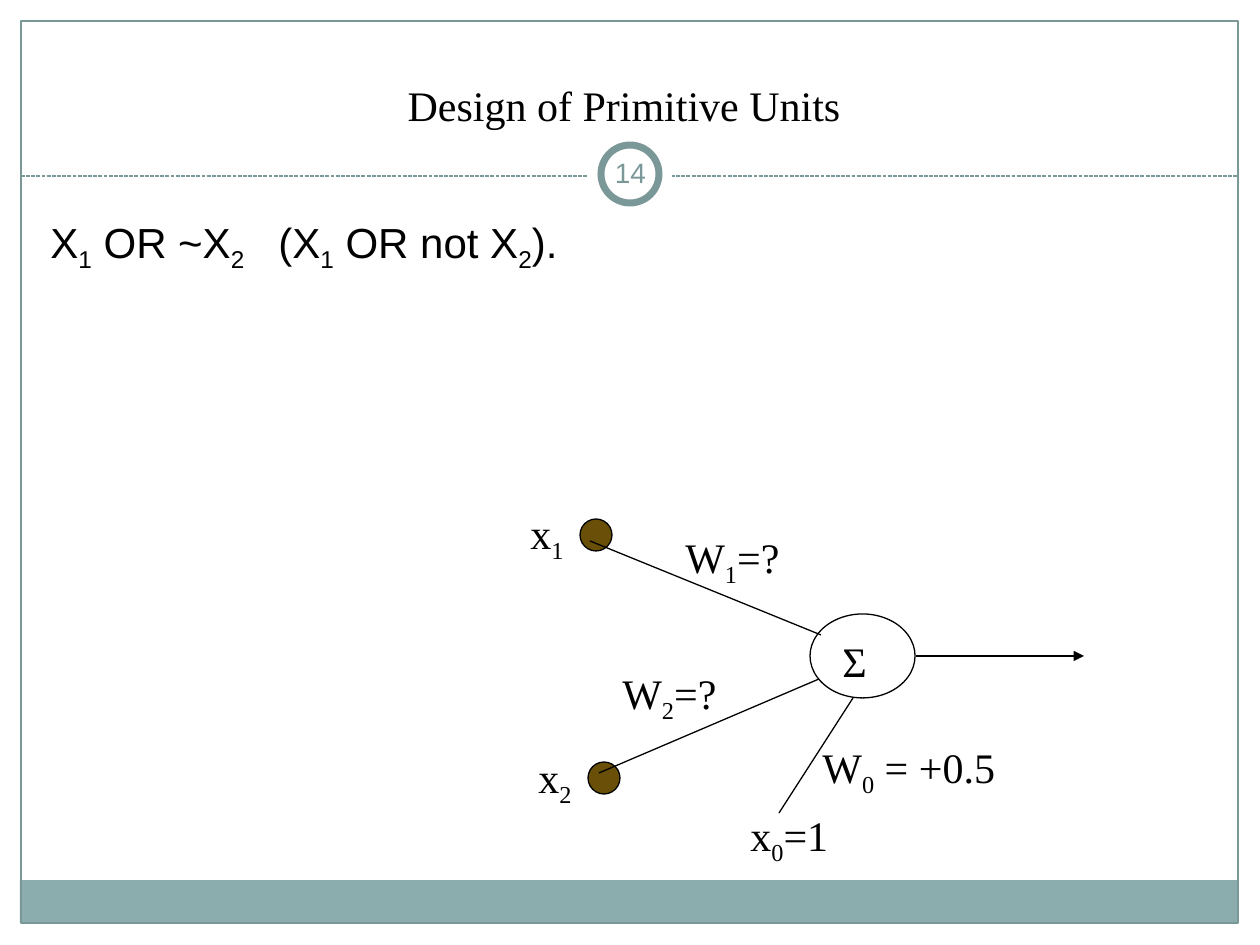
from typing import NamedTuple, Optional

from lxml import etree
from pptx import Presentation
from pptx.dml.color import RGBColor
from pptx.enum.dml import MSO_LINE
from pptx.enum.shapes import MSO_CONNECTOR, MSO_SHAPE
from pptx.enum.text import MSO_ANCHOR, MSO_AUTO_SIZE, PP_ALIGN
from pptx.oxml.ns import qn
from pptx.util import Emu, Pt

RECTANGLE, OVAL = MSO_SHAPE.RECTANGLE, MSO_SHAPE.OVAL
STRAIGHT = MSO_CONNECTOR.STRAIGHT
DASH = MSO_LINE.SQUARE_DOT
CENTER = PP_ALIGN.CENTER
MIDDLE, BOTTOM = MSO_ANCHOR.MIDDLE, MSO_ANCHOR.BOTTOM
FIXED_SIZE, FIT_SHAPE = MSO_AUTO_SIZE.NONE, MSO_AUTO_SIZE.SHAPE_TO_FIT_TEXT

BLACK = RGBColor(0x00, 0x00, 0x00)
WHITE = RGBColor(0xFF, 0xFF, 0xFF)
TEAL = RGBColor(0x7B, 0x98, 0x99)
BAND_TEAL = RGBColor(0x8C, 0xAD, 0xAE)
BROWN = RGBColor(0x69, 0x4F, 0x07)

SANS, SERIF = "Arial", "Times New Roman"
PX_PER_INCH = 126
THIN = 0.75
BODY_SIZE = 24
FORMULA_TAB = 228


class Box(NamedTuple):
    left: int
    top: int
    width: int
    height: int


class Figure(NamedTuple):
    kind: int
    box: Box
    fill: Optional[RGBColor] = None
    outline: Optional[RGBColor] = None
    weight: float = THIN


class Link(NamedTuple):
    start: tuple[int, int]
    end: tuple[int, int]
    color: RGBColor = BLACK
    dashed: bool = False
    arrow: bool = False


class Label(NamedTuple):
    markup: str
    box: Box
    font: str = SERIF


FRAME = [
    Figure(RECTANGLE, Box(20, 880, 1217, 43), fill=BAND_TEAL),
    Figure(RECTANGLE, Box(21, 21, 1217, 902), outline=TEAL),
]
HEADER_RULE = Link((21, 176), (1238, 176), TEAL, dashed=True)
NUMBER_BADGE = [
    Figure(OVAL, Box(588, 132, 84, 84), fill=WHITE),
    Figure(OVAL, Box(601, 145, 58, 58), fill=WHITE, outline=TEAL, weight=4),
]
NETWORK_NODES = [
    Figure(OVAL, Box(580, 519, 32, 32), BROWN, BLACK),
    Figure(OVAL, Box(588, 762, 32, 32), BROWN, BLACK),
    Figure(OVAL, Box(810, 614, 105, 84), outline=BLACK),
]
NETWORK_LINKS = [
    Link((590, 541), (821, 635)),
    Link((599, 773), (819, 679)),
    Link((779, 813), (853, 698)),
    Link((916, 656), (1084, 656), arrow=True),
]
LABELS = [
    Label("X_1 OR ~X_2\t(X_1 OR not X_2).", Box(38, 210, 548, 71), SANS),
    Label("x_1", Box(518, 501, 60, 71)),
    Label("x_2", Box(526, 745, 60, 71)),
    Label("x_0=1", Box(738, 803, 106, 71)),
    Label("W_0 = +0.5", Box(810, 735, 202, 71)),
    Label("W_1=?", Box(673, 525, 124, 71)),
    Label("W_2=?", Box(610, 661, 124, 71)),
    Label("Σ", Box(830, 629, 52, 63)),
]


def px(length: float) -> Emu:
    return Emu(round(length * 914400 / PX_PER_INCH))


def draw_figure(slide, figure: Figure) -> None:
    shape = slide.shapes.add_shape(figure.kind, *map(px, figure.box))
    shape.shadow.inherit = False
    if figure.fill is None:
        shape.fill.background()
    else:
        shape.fill.solid()
        shape.fill.fore_color.rgb = figure.fill
    if figure.outline is None:
        shape.line.fill.background()
    else:
        shape.line.color.rgb = figure.outline
        shape.line.width = Pt(figure.weight)


def draw_link(slide, link: Link) -> None:
    connector = slide.shapes.add_connector(
        STRAIGHT, *map(px, link.start + link.end))
    connector.line.color.rgb = link.color
    connector.line.width = Pt(THIN)
    if link.dashed:
        connector.line.dash_style = DASH
    properties = connector._element.spPr
    if link.arrow:
        etree.SubElement(properties.find(qn("a:ln")), qn("a:tailEnd"),
                         type="triangle")
    etree.SubElement(properties, qn("a:effectLst"))


def style_font(font, name: str, size: int, color: RGBColor) -> None:
    font.name, font.size = name, Pt(size)
    font.color.rgb = color


def add_tab_stop(paragraph, position: int) -> None:
    tabs = etree.SubElement(paragraph._p.get_or_add_pPr(), qn("a:tabLst"))
    etree.SubElement(tabs, qn("a:tab"), pos=str(px(position)), algn="l")


def draw_label(slide, label: Label) -> None:
    """Write the markup, in which an underscore lowers the next character."""
    frame = slide.shapes.add_textbox(*map(px, label.box)).text_frame
    frame.word_wrap = False
    frame.auto_size = FIT_SHAPE
    paragraph = frame.paragraphs[0]
    if "\t" in label.markup:
        add_tab_stop(paragraph, FORMULA_TAB)
    base, *subscripted = label.markup.split("_")
    pieces = [(base, False)]
    for part in subscripted:
        pieces += [(part[0], True), (part[1:], False)]
    for text, lowered in pieces:
        if not text:
            continue
        run = paragraph.add_run()
        run.text = text
        style_font(run.font, label.font, BODY_SIZE, BLACK)
        if lowered:
            run._r.get_or_add_rPr().set("baseline", "-25000")


def draw_slide_number(slide) -> None:
    frame = slide.shapes.add_textbox(*map(px, Box(599, 142, 63, 60))).text_frame
    frame.margin_left = frame.margin_right = px(6)
    frame.word_wrap = True
    frame.vertical_anchor = MIDDLE
    frame.text = "14"
    frame.paragraphs[0].alignment = CENTER
    style_font(frame.paragraphs[0].runs[0].font, SANS, 16, TEAL)


def fill_title(slide) -> None:
    title = slide.shapes.title
    title.left, title.top, title.width, title.height = map(
        px, Box(36, 31, 1176, 105))
    frame = title.text_frame
    frame.text = "Design of Primitive Units"
    frame.auto_size = FIXED_SIZE
    frame.vertical_anchor = BOTTOM
    frame.paragraphs[0].alignment = CENTER
    style_font(frame.paragraphs[0].runs[0].font, SERIF, BODY_SIZE, BLACK)


def main() -> None:
    deck = Presentation()
    deck.slide_width, deck.slide_height = px(1260), px(945)
    slide = deck.slides.add_slide(deck.slide_layouts[5])
    fill_title(slide)
    for figure in FRAME:
        draw_figure(slide, figure)
    draw_link(slide, HEADER_RULE)
    for figure in NUMBER_BADGE + NETWORK_NODES:
        draw_figure(slide, figure)
    draw_slide_number(slide)
    for link in NETWORK_LINKS:
        draw_link(slide, link)
    for label in LABELS:
        draw_label(slide, label)
    deck.save("out.pptx")


if __name__ == "__main__":
    main()
